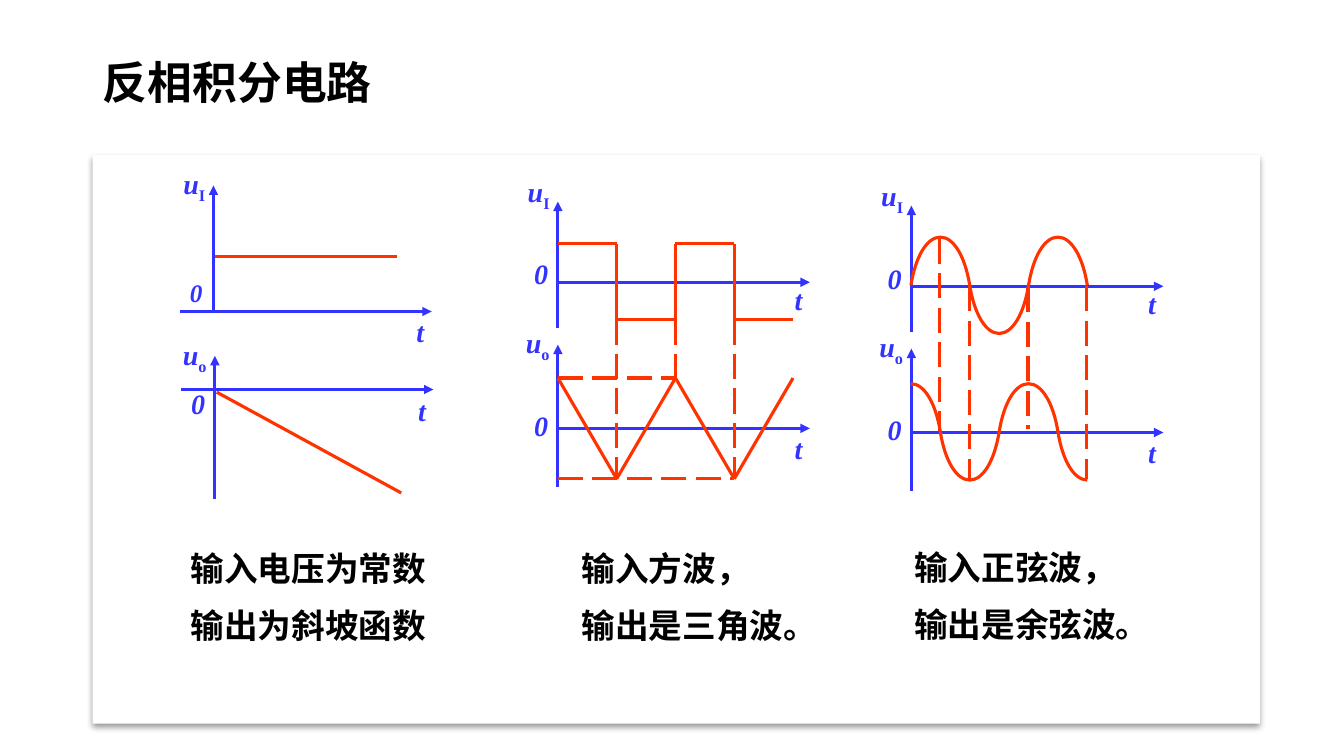
from dataclasses import dataclass, replace
from itertools import pairwise

from lxml.etree import SubElement
from pptx import Presentation
from pptx.dml.color import RGBColor
from pptx.enum.dml import MSO_LINE_DASH_STYLE as Dash
from pptx.enum.shapes import MSO_CONNECTOR as Connector, MSO_SHAPE as Shape
from pptx.enum.text import MSO_ANCHOR as Anchor, PP_ALIGN as Align
from pptx.oxml.ns import qn
from pptx.util import Pt

Point = tuple[float, float]


@dataclass(frozen=True)
class Theme:
    panel: RGBColor = RGBColor(255, 255, 255)
    ink: RGBColor = RGBColor(0, 0, 0)
    axis: RGBColor = RGBColor(0x33, 0x33, 0xFF)
    signal: RGBColor = RGBColor(0xFF, 0x33, 0x00)
    cjk: str = "Noto Sans CJK SC"
    symbol: str = "Times New Roman"
    title_size: float = 32
    caption_size: float = 24
    symbol_size: float = 20
    small_symbol_size: float = 18
    stroke: float = 2.25


@dataclass(frozen=True)
class Axes:
    subscript: str
    start_x: float
    origin_x: float
    baseline: float
    bottom: float
    top: float
    u_top: float
    zero_top: float
    t_top: float
    zero_size: float = Theme.symbol_size

    def shifted(self, dx: float, dy: float) -> "Axes":
        across = {name: getattr(self, name) + dx for name in ("start_x", "origin_x")}
        down = {name: getattr(self, name) + dy for name in
                ("baseline", "bottom", "top", "u_top", "zero_top", "t_top")}
        return replace(self, **across, **down)


@dataclass(frozen=True)
class Caption:
    left: float
    top: float
    width: float
    lines: tuple[str, str]


THEME = Theme()
AXIS_LENGTH = 180
STEP = 42           # half a period
QUARTER = STEP / 2
AMPLITUDE = 34.4
SQUARE_X = 398.5
SINE_X = 650.7

SQUARE_AXES = (
    Axes("I", SQUARE_X, SQUARE_X, 201.6, 234, 144, 121, 180, 198),
    Axes("o", SQUARE_X, SQUARE_X, 306, 347.8, 246.2, 229, 288, 304.6),
)
ALL_AXES = (
    Axes("I", 128.4, 152.5, 222.5, 222.5, 132.5, 115.2, 194.4, 221, THEME.small_symbol_size),
    Axes("o", 129.6, 153.5, 278.2, 356.4, 254.2, 237.6, 272.2, 277.2),
    *SQUARE_AXES,
    *(axes.shifted(SINE_X - SQUARE_X + 0.3, 2.9) for axes in SQUARE_AXES),
)
CAPTIONS = (
    Caption(129.2, 388, 198.7, ("输入电压为常数", "输出为斜坡函数")),
    Caption(408.4, 388, 169.9, ("输入方波，", "输出是三角波。")),
    Caption(646, 387.2, 169.9, ("输入正弦波，", "输出是余弦波。")),
)


def add_text(paragraph, text: str, *, size: float, font: str, color: RGBColor,
             italic: bool = False, baseline: int = 0) -> None:
    run = paragraph.add_run()
    run.text = text
    run.font.size = Pt(size)
    run.font.name = font
    run.font.bold = True
    run.font.italic = italic
    run.font.color.rgb = color
    properties = run.font._element
    SubElement(properties, qn("a:ea")).set("typeface", font)
    if baseline:
        properties.set("baseline", str(baseline * 1000))


def add_line(slide, start: Point, end: Point, color: RGBColor, *,
             dashed: bool = False, arrow: bool = False) -> None:
    connector = slide.shapes.add_connector(
        Connector.STRAIGHT, *(Pt(value) for value in (*start, *end)))
    connector.line.color.rgb = color
    connector.line.width = Pt(THEME.stroke)
    if dashed:
        connector.line.dash_style = Dash.LONG_DASH
    if arrow:
        SubElement(connector.line._get_or_add_ln(), qn("a:tailEnd")).set("type", "triangle")
    SubElement(connector._element.spPr, qn("a:effectLst"))


def add_trace(slide, points: list[Point], dashed: bool = False) -> None:
    for start, end in pairwise(points):
        add_line(slide, start, end, THEME.signal, dashed=dashed)


def add_symbol(slide, left: float, top: float, width: float, text: str,
               subscript: str = "", size: float = THEME.symbol_size) -> None:
    box = slide.shapes.add_textbox(Pt(left), Pt(top), Pt(width), Pt(size * 1.2 + 7.2))
    box.text_frame.word_wrap = False
    paragraph = box.text_frame.paragraphs[0]
    style = dict(size=size, font=THEME.symbol, color=THEME.axis)
    add_text(paragraph, text, italic=True, **style)
    if subscript:
        add_text(paragraph, subscript, baseline=-25, **style)


def add_axes(slide, axes: Axes) -> None:
    end_x = axes.start_x + AXIS_LENGTH
    u_width = 31 if axes.subscript == "I" else 32.4
    add_line(slide, (axes.start_x, axes.baseline), (end_x, axes.baseline), THEME.axis, arrow=True)
    add_line(slide, (axes.origin_x, axes.bottom), (axes.origin_x, axes.top), THEME.axis, arrow=True)
    add_symbol(slide, axes.origin_x - 24, axes.zero_top, 24.5, "0", size=axes.zero_size)
    add_symbol(slide, end_x - 18, axes.t_top, 20.2, "t")
    add_symbol(slide, axes.origin_x + 2.4 - u_width, axes.u_top, u_width, "u", axes.subscript)


def quarter_controls(phase: int) -> list[Point]:
    """Four Bézier controls (x, height) of one quarter of a sine."""
    rise = [(0, 0), (3.3, 0.6 * AMPLITUDE), (11.5, AMPLITUDE), (QUARTER, AMPLITUDE)]
    fall = [(QUARTER - x, height) for x, height in reversed(rise)]
    sign = 1 if phase % 4 < 2 else -1
    return [(x, sign * height) for x, height in (fall if phase % 2 else rise)]


def add_arch(slide, left: float, baseline: float, phases: tuple[int, ...]) -> None:
    """Draw neighbouring quarter waves as one smooth open curve."""
    controls = [(100 * (left + index * QUARTER + x), 100 * (baseline - height))
                for index, phase in enumerate(phases)
                for x, height in quarter_controls(phase)[min(index, 1):]]
    builder = slide.shapes.build_freeform(*controls[0], scale=Pt(1) / 100)
    builder.add_line_segments(controls[1:], close=False)
    arch = builder.convert_to_shape()
    outline = arch._element.find(".//" + qn("a:path"))
    segments = outline.findall(qn("a:lnTo"))
    for first in range(0, len(segments), 3):
        curve = SubElement(outline, qn("a:cubicBezTo"))
        for segment in segments[first:first + 3]:
            curve.append(segment[0])
            outline.remove(segment)
    arch.shadow.inherit = False
    arch.fill.background()
    arch.line.color.rgb = THEME.signal
    arch.line.width = Pt(THEME.stroke)


def add_wave(slide, baseline: float, arches: tuple[tuple[int, ...], ...]) -> None:
    left = SINE_X
    for phases in arches:
        add_arch(slide, left, baseline, phases)
        left += QUARTER * len(phases)


def add_square_and_triangle(slide) -> None:
    high, low, crest, trough = 174.2, 228.2, 270, 342
    x = [SQUARE_X + STEP * i for i in range(5)]
    levels = (high, low, high, low)
    add_trace(slide, [(edge, level) for i, level in enumerate(levels) for edge in x[i:i + 2]])
    add_trace(slide, list(zip(x, (crest, trough, crest, trough, crest))))
    add_trace(slide, [(x[0], trough), (x[3], trough)], dashed=True)
    add_trace(slide, [(x[0], crest), (x[2], crest)], dashed=True)
    for edge, end in zip(x[1:4], (trough, crest, trough)):
        add_trace(slide, [(edge, low), (edge, end)], dashed=True)


def add_sine_and_cosine(slide) -> None:
    add_wave(slide, 203.8, ((0, 1), (2, 3), (0, 1)))
    add_wave(slide, 308.5, ((1,), (2, 3), (0, 1), (2,)))
    for quarter, top, bottom in ((1, 170.6, 308.2), (2, 204.5, 342), (4, 205.2, 306.7),
                                 (6, 204.5, 342)):
        x = SINE_X - 0.4 + quarter * QUARTER
        add_trace(slide, [(x, top), (x, bottom)], dashed=True)


def add_panel(slide) -> None:
    panel = slide.shapes.add_shape(Shape.RECTANGLE, Pt(66.2), Pt(110.9), Pt(833.8), Pt(406.1))
    panel.fill.solid()
    panel.fill.fore_color.rgb = THEME.panel
    panel.line.fill.background()
    panel.shadow.inherit = False
    effects = panel._element.spPr.find(qn("a:effectLst"))
    shadow = SubElement(effects, qn("a:outerShdw"), blurRad=str(Pt(4)), dist=str(Pt(3)),
                        dir="5400000", algn="t", rotWithShape="0")
    black = SubElement(shadow, qn("a:srgbClr"), val=str(THEME.ink))
    SubElement(black, qn("a:alpha"), val="40000")


def add_title(slide, text: str) -> None:
    title = slide.shapes.title
    title.left, title.top, title.width, title.height = Pt(66.2), Pt(37.4), Pt(828), Pt(46.8)
    title.text_frame.vertical_anchor = Anchor.MIDDLE
    paragraph = title.text_frame.paragraphs[0]
    paragraph.alignment = Align.LEFT
    paragraph.line_spacing = 0.9
    add_text(paragraph, text, size=THEME.title_size, font=THEME.cjk, color=THEME.ink)


def add_caption(slide, caption: Caption) -> None:
    box = slide.shapes.add_textbox(Pt(caption.left), Pt(caption.top), Pt(caption.width), Pt(80))
    frame = box.text_frame
    frame.word_wrap = True
    for index, line in enumerate(caption.lines):
        paragraph = frame.add_paragraph() if index else frame.paragraphs[0]
        paragraph.space_before = Pt(12 * index)
        add_text(paragraph, line, size=THEME.caption_size, font=THEME.cjk, color=THEME.ink)


def main() -> None:
    deck = Presentation()
    deck.slide_width, deck.slide_height = Pt(960), Pt(540)
    slide = deck.slides.add_slide(deck.slide_layouts[5])
    add_title(slide, "反相积分电路")
    add_panel(slide)
    add_trace(slide, [(152, 183.4), (283.7, 183.4)])
    add_trace(slide, [(154.8, 280.1), (286.6, 352.1)])
    for axes in ALL_AXES:
        add_axes(slide, axes)
    add_square_and_triangle(slide)
    add_sine_and_cosine(slide)
    for caption in CAPTIONS:
        add_caption(slide, caption)
    deck.save("out.pptx")


if __name__ == "__main__":
    main()
